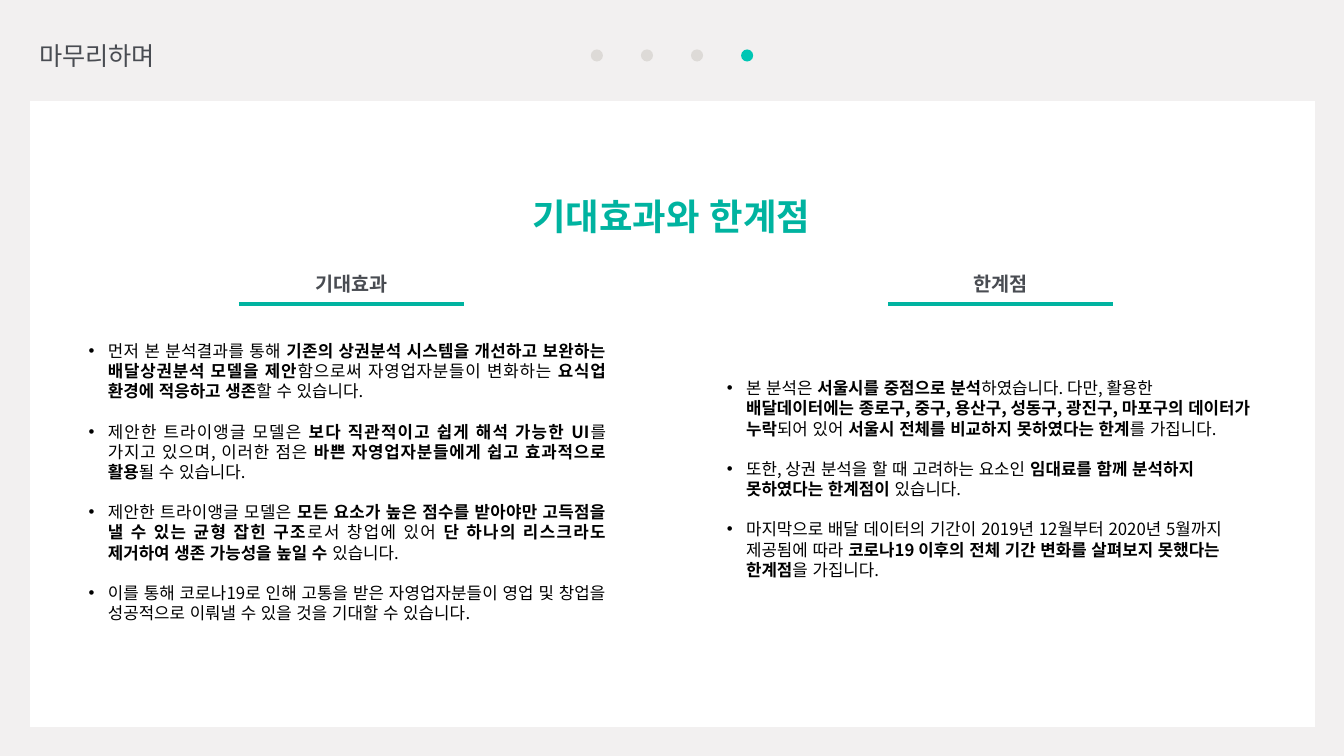
from lxml.etree import SubElement
from pptx import Presentation
from pptx.dml.color import RGBColor
from pptx.enum.lang import MSO_LANGUAGE_ID
from pptx.enum.shapes import MSO_CONNECTOR, MSO_SHAPE
from pptx.enum.text import MSO_ANCHOR, MSO_AUTO_SIZE, PP_ALIGN
from pptx.oxml.ns import qn
from pptx.util import Inches, Pt

FONT = "Noto Sans CJK KR"
TEAL, GREY, BACKGROUND = "00B3A0", "494C52", "F2F0F0"


def color(hex_string):
    return RGBColor.from_string(hex_string)


def write(shape, box, paragraphs, size, hex_string, align, bold=False):
    """Place a text shape and fill it; parts between asterisks turn bold."""
    shape.left, shape.top, shape.width, shape.height = map(Inches, box)
    frame = shape.text_frame
    frame.word_wrap = True
    frame.auto_size = MSO_AUTO_SIZE.NONE
    frame.vertical_anchor = MSO_ANCHOR.TOP
    for number, text in enumerate(paragraphs):
        paragraph = frame.add_paragraph() if number else frame.paragraphs[0]
        paragraph.alignment = align
        paragraph.line_spacing = Pt(size * 1.2)
        paragraph.space_before = Pt(size * 1.2 if number else 0)
        for index, part in enumerate(text.split("*")):
            if not part:
                continue
            run = paragraph.add_run()
            run.text = part
            run.font.size = Pt(size)
            run.font.bold = bold or index % 2 == 1
            run.font.color.rgb = color(hex_string)
            run.font.language_id = MSO_LANGUAGE_ID.KOREAN
            run.font.name = FONT
            SubElement(run.font._element, qn("a:ea")).set("typeface", FONT)


presentation = Presentation()
presentation.slide_width, presentation.slide_height = Inches(13.33), Inches(7.5)
slide = presentation.slides.add_slide(presentation.slide_layouts[3])
shapes = slide.shapes
title, left_list, right_list = slide.placeholders

# Background and white panel, moved behind the placeholders
slide.background.fill.solid()
slide.background.fill.fore_color.rgb = color(BACKGROUND)
panel = shapes.add_shape(MSO_SHAPE.RECTANGLE, Inches(0.29), Inches(1), Inches(12.76), Inches(6.22))
panel.shadow.inherit = False
panel.fill.solid()
panel.fill.fore_color.rgb = color("FFFFFF")
panel.line.color.rgb = color(BACKGROUND)
panel.line.width = Pt(1)
title._element.addprevious(panel._element)

# Section name and title
section = shapes.add_textbox(0, 0, 0, 0)
write(section, (0.29, 0.35, 4.96, 0.4), ["마무리하며"], 18, GREY, PP_ALIGN.LEFT)
write(title, (0.48, 1.88, 12.36, 0.54), ["기대효과와 한계점"], 26, TEAL, PP_ALIGN.CENTER, True)

# Progress dots, the last one active
for step in range(4):
    dot = shapes.add_shape(MSO_SHAPE.OVAL, Inches(5.86 + step * 1.49 / 3), Inches(0.49),
                           Inches(0.12), Inches(0.12))
    dot.shadow.inherit = False
    dot.fill.solid()
    dot.fill.fore_color.rgb = color("00C6B4" if step == 3 else "DDDAD7")
    dot.line.fill.background()

# Two columns: heading, heading left edge, list, list box, alignment, items
effects = [
    "먼저 본 분석결과를 통해 *기존의 상권분석 시스템을 개선하고 보완하는 배달상권분석 모델을 제안*"
    "함으로써 자영업자분들이 변화하는 *요식업 환경에 적응하고 생존*할 수 있습니다.",
    "제안한 트라이앵글 모델은 *보다 직관적이고 쉽게 해석 가능한 UI*를 가지고 있으며, 이러한 점은 "
    "*바쁜 자영업자분들에게 쉽고 효과적으로 활용*될 수 있습니다.",
    "제안한 트라이앵글 모델은 *모든 요소가 높은 점수를 받아야만 고득점을 낼 수 있는 균형 잡힌 구조*"
    "로서 창업에 있어 *단 하나의 리스크라도 제거하여 생존 가능성을 높일 수* 있습니다.",
    "이를 통해 코로나19로 인해 고통을 받은 자영업자분들이 영업 및 창업을 성공적으로 이뤄낼 수 있을 것을 "
    "기대할 수 있습니다.",
]
limits = [
    "본 분석은 *서울시를 중점으로 분석*하였습니다. 다만, 활용한 "
    "*배달데이터에는 종로구, 중구, 용산구, 성동구, 광진구, 마포구의 데이터가 누락*되어 있어 "
    "*서울시 전체를 비교하지 못하였다는 한계*를 가집니다.",
    "또한, 상권 분석을 할 때 고려하는 요소인 *임대료를 함께 분석하지 못하였다는 한계점이* 있습니다.",
    "마지막으로 배달 데이터의 기간이 2019년 12월부터 2020년 5월까지 제공됨에 따라 "
    "*코로나19 이후의 전체 기간 변화를 살펴보지 못했다는 한계점*을 가집니다.",
]
columns = [
    ("기대효과", 1.11, left_list, (0.78, 3.33, 5.33, 2.93), PP_ALIGN.JUSTIFY, effects),
    ("한계점", 7.55, right_list, (7.11, 3.7, 5.48, 2.12), PP_ALIGN.LEFT, limits),
]
for heading, left, body, box, align, items in columns:
    label = shapes.add_textbox(0, 0, 0, 0)
    write(label, (left, 2.65, 4.75, 0.34), [heading], 14, GREY, PP_ALIGN.CENTER, True)

    underline = shapes.add_connector(MSO_CONNECTOR.STRAIGHT, Inches(left + 1.26), Inches(3.02),
                                     Inches(left + 3.49), Inches(3.02))
    underline.line.color.rgb = color(TEAL)
    underline.line.width = Pt(2.75)
    SubElement(underline._element.spPr, qn("a:effectLst"))

    write(body, box, items, 12, "000000", align)
    for paragraph in body.text_frame.paragraphs:
        properties = paragraph._p.get_or_add_pPr()
        properties.set("marL", str(Inches(0.19)))
        properties.set("indent", str(-Inches(0.19)))
        SubElement(properties, qn("a:buFont")).set("typeface", "Arial")
        SubElement(properties, qn("a:buChar")).set("char", "•")

presentation.save("out.pptx")
